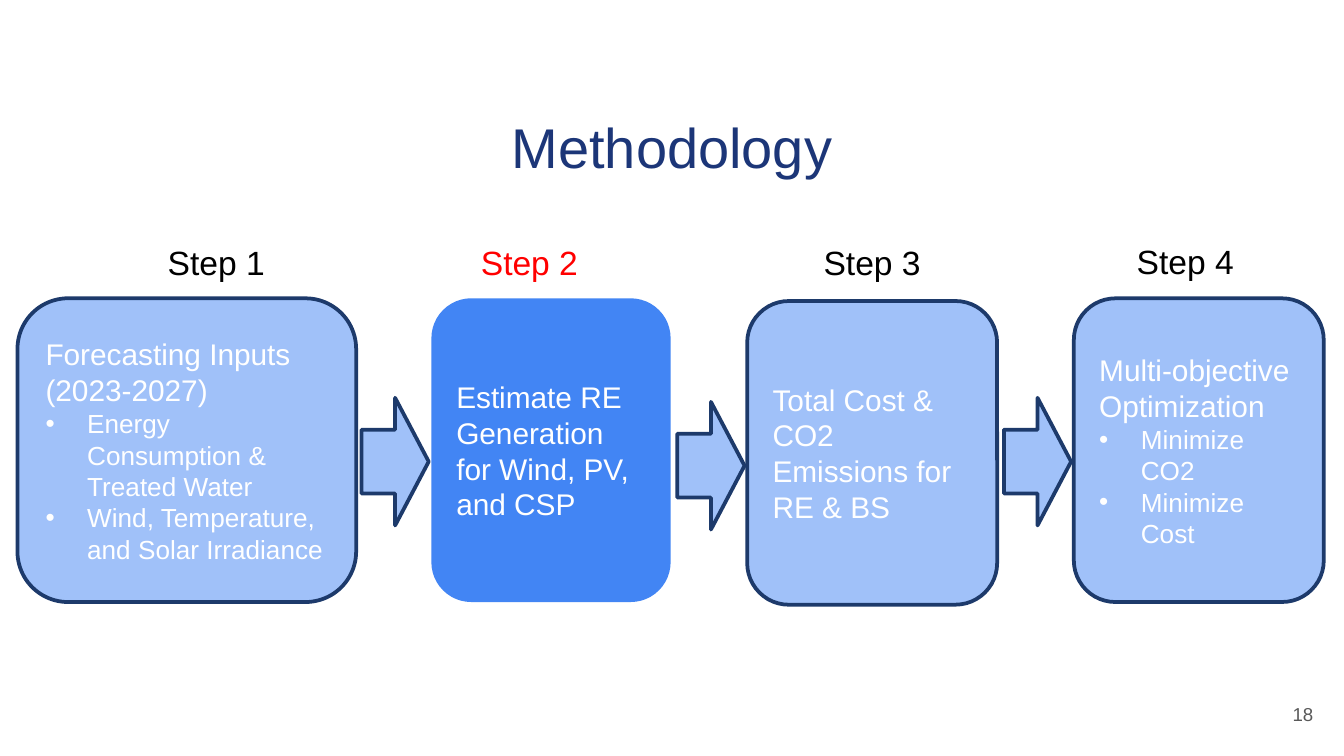
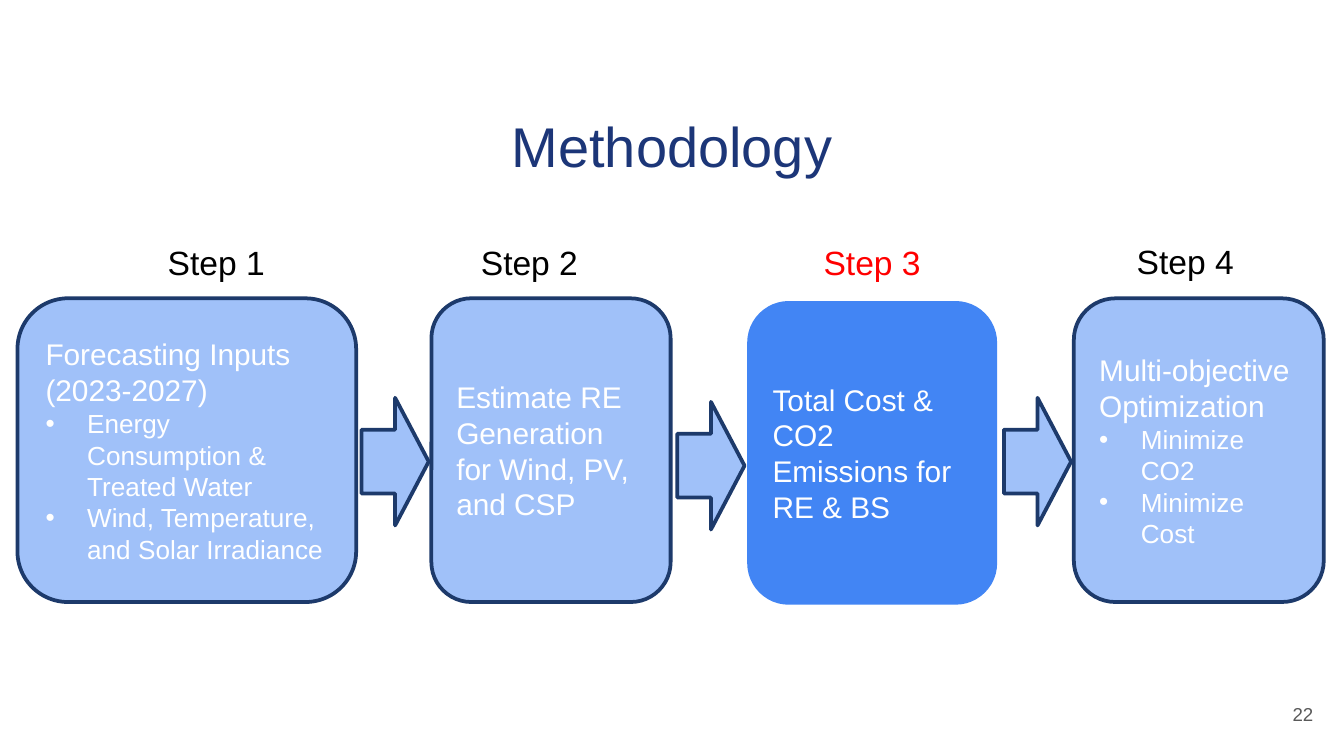
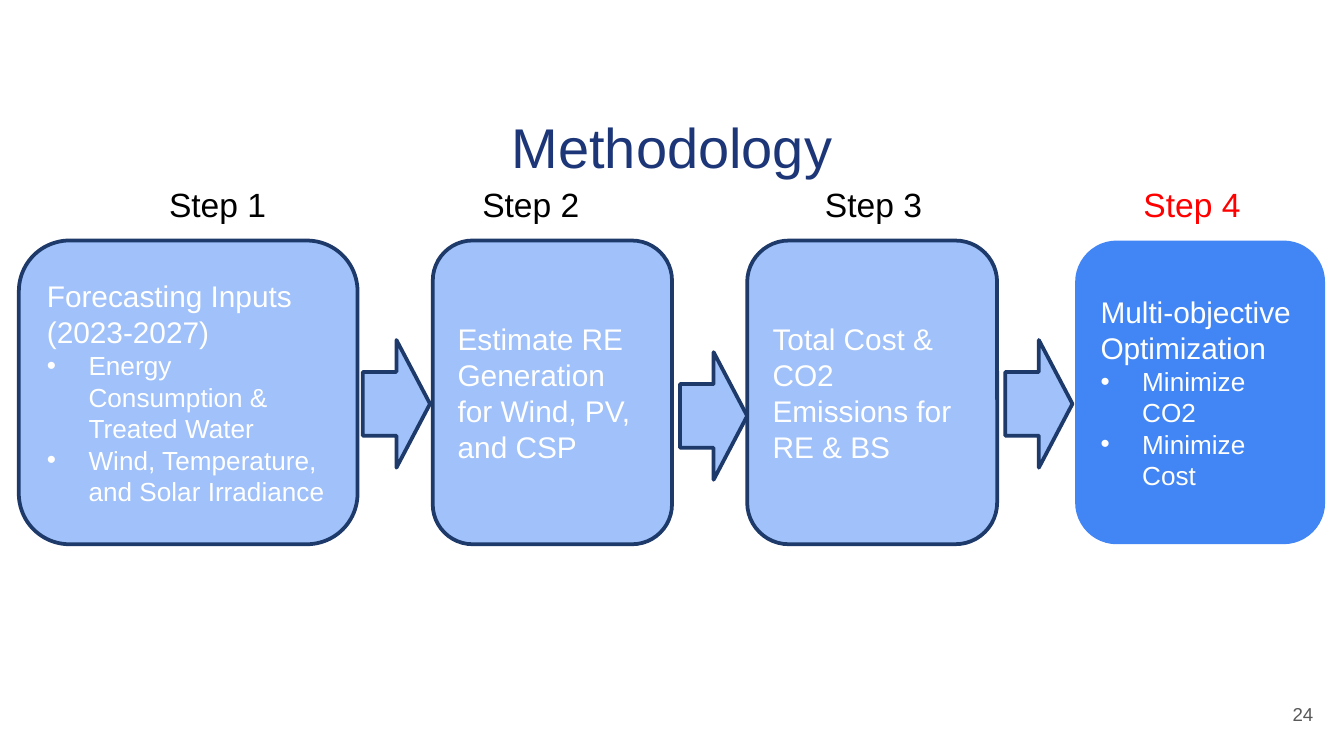
from typing import NamedTuple

from lxml import etree
from pptx import Presentation
from pptx.dml.color import RGBColor
from pptx.enum.shapes import MSO_SHAPE
from pptx.enum.text import MSO_ANCHOR, MSO_AUTO_SIZE, PP_ALIGN
from pptx.oxml.ns import qn
from pptx.util import Pt

ROUNDED = MSO_SHAPE.ROUNDED_RECTANGLE
RIGHT_ARROW = MSO_SHAPE.RIGHT_ARROW
TOP, MIDDLE = MSO_ANCHOR.TOP, MSO_ANCHOR.MIDDLE
LEFT, CENTER, RIGHT = PP_ALIGN.LEFT, PP_ALIGN.CENTER, PP_ALIGN.RIGHT
NO_FIT, GROW = MSO_AUTO_SIZE.NONE, MSO_AUTO_SIZE.SHAPE_TO_FIT_TEXT

EMU_PER_PX = 4572  # 200 px to the inch
SLIDE_WIDTH, SLIDE_HEIGHT = 2000, 1125
FONT = "Arial"
COLORS = {
    "title": "1C3678",
    "number": "595959",
    "box": "4285F4",
    "outline": "1D3A6B",
    "box_text": "FFFFFF",
    "label": "000000",
    "active_label": "FF0000",
}
FADED_ALPHA = 50000
INSET = 20
BULLET_INDENT = 62
BOX_HEIGHT = 452
ARROW_WIDTH, ARROW_HEIGHT = 100, 190
LABEL_WIDTH, LABEL_HEIGHT = 186, 80


class Step(NamedTuple):
    left: int
    width: int
    label_left: int
    heading: str
    bullets: tuple = ()


class Page(NamedTuple):
    """Positions are (left, top); the other elements follow row_left and row_top."""
    number: str
    active: int
    title_top: int
    row_left: int
    row_top: int
    third_box: tuple
    second_arrow: tuple
    fourth_label: tuple


STEPS = (
    Step(0, 504, 204, "Forecasting Inputs (2023-2027)",
         ("Energy Consumption & Treated Water",
          "Wind, Temperature, and Solar Irradiance")),
    Step(616, 356, 670, "Estimate RE Generation for Wind, PV, and CSP"),
    Step(1086, 372, 1180, "Total Cost & CO2 Emissions for RE & BS"),
    Step(1572, 372, 1646, "Multi-objective Optimization",
         ("Minimize CO2", "Minimize Cost")),
)
ARROW_LEFTS = (512, 982, 1468)
ARROW_DROP = 148
LABEL_RISE = 94

PAGES = (
    Page("18", 2, 148, 26, 444, (1112, 448), (1008, 598), (1672, 348)),
    Page("22", 3, 146, 26, 444, (1112, 448), (1008, 598), (1672, 348)),
    Page("24", 4, 148, 28, 358, (1112, 358), (1012, 524), (1682, 264)),
)


def px(*lengths):
    return [length * EMU_PER_PX for length in lengths]


def color(name):
    return RGBColor.from_string(COLORS[name])


class Deck:
    def __init__(self):
        self.presentation = Presentation()
        self.presentation.slide_width, self.presentation.slide_height = px(
            SLIDE_WIDTH, SLIDE_HEIGHT)
        self.slide = None

    def new_slide(self):
        title_only = self.presentation.slide_layouts[5]
        self.slide = self.presentation.slides.add_slide(title_only)

    def set_frame(self, frame, anchor, wrap=True, fit=NO_FIT, inset=None):
        frame.auto_size = fit
        frame.word_wrap = wrap
        frame.vertical_anchor = anchor
        if inset is not None:
            frame.margin_left, frame.margin_top, frame.margin_right, frame.margin_bottom = px(
                inset, inset, inset, inset)

    def add_text(self, paragraph, text, size, color_name, align=LEFT):
        paragraph.alignment = align
        run = paragraph.add_run()
        run.text = text
        run.font.name = FONT
        run.font.size = Pt(size)
        run.font.color.rgb = color(color_name)

    def add_bullet(self, paragraph, color_name):
        properties = paragraph._p.get_or_add_pPr()
        indent, = px(BULLET_INDENT)
        properties.set("marL", str(indent))
        properties.set("indent", str(-indent))
        bullet_color = etree.SubElement(properties, qn("a:buClr"))
        etree.SubElement(bullet_color, qn("a:srgbClr"), val=COLORS[color_name])
        etree.SubElement(properties, qn("a:buFont"), typeface=FONT)
        etree.SubElement(properties, qn("a:buChar"), char="•")

    def title(self, text, top):
        title = self.slide.shapes.title
        title.left, title.top, title.width, title.height = px(68, top, 1864, 126)
        self.set_frame(title.text_frame, TOP, inset=INSET)
        self.add_text(title.text_frame.paragraphs[0], text, 30, "title", CENTER)

    def page_number(self, text):
        frame = self.slide.shapes.add_textbox(*px(1854, 1020, 120, 86)).text_frame
        self.set_frame(frame, MIDDLE, inset=INSET)
        self.add_text(frame.paragraphs[0], text, 10, "number", RIGHT)

    def label(self, text, left, top, active):
        frame = self.slide.shapes.add_textbox(
            *px(left, top, LABEL_WIDTH, LABEL_HEIGHT)).text_frame
        self.set_frame(frame, TOP, wrap=False, fit=GROW)
        self.add_text(frame.paragraphs[0], text, 18, "active_label" if active else "label")

    def block(self, kind, left, top, width, height, active=False):
        """Add a solid shape when active, else a faded and outlined one."""
        shape = self.slide.shapes.add_shape(kind, *px(left, top, width, height))
        shape.shadow.inherit = False
        shape.fill.solid()
        shape.fill.fore_color.rgb = color("box")
        if active:
            shape.line.fill.background()
        else:
            shape.line.color.rgb = color("outline")
            shape.line.width = Pt(2)
            fill = shape.element.spPr.find(qn("a:solidFill"))
            etree.SubElement(fill[0], qn("a:alpha"), val=str(FADED_ALPHA))
        return shape

    def step_box(self, step, left, top, active):
        frame = self.block(ROUNDED, left, top, step.width, BOX_HEIGHT, active).text_frame
        self.set_frame(frame, MIDDLE)
        self.add_text(frame.paragraphs[0], step.heading, 16, "box_text")
        for text in step.bullets:
            paragraph = frame.add_paragraph()
            self.add_bullet(paragraph, "box_text")
            self.add_text(paragraph, text, 14, "box_text")

    def arrow(self, left, top):
        self.block(RIGHT_ARROW, left, top, ARROW_WIDTH, ARROW_HEIGHT)


def add_methodology(deck, page):
    deck.new_slide()
    deck.page_number(page.number)
    deck.title("Methodology", page.title_top)
    for number, step in enumerate(STEPS, start=1):
        active = number == page.active
        box = (page.row_left + step.left, page.row_top)
        label = (page.row_left + step.label_left, page.row_top - LABEL_RISE)
        deck.step_box(step, *(page.third_box if number == 3 else box), active)
        deck.label(f"Step {number}", *(page.fourth_label if number == 4 else label), active)
    for number, left in enumerate(ARROW_LEFTS, start=1):
        arrow = (page.row_left + left, page.row_top + ARROW_DROP)
        deck.arrow(*(page.second_arrow if number == 2 else arrow))


def main():
    deck = Deck()
    for page in PAGES:
        add_methodology(deck, page)
    deck.presentation.save("out.pptx")


if __name__ == "__main__":
    main()
